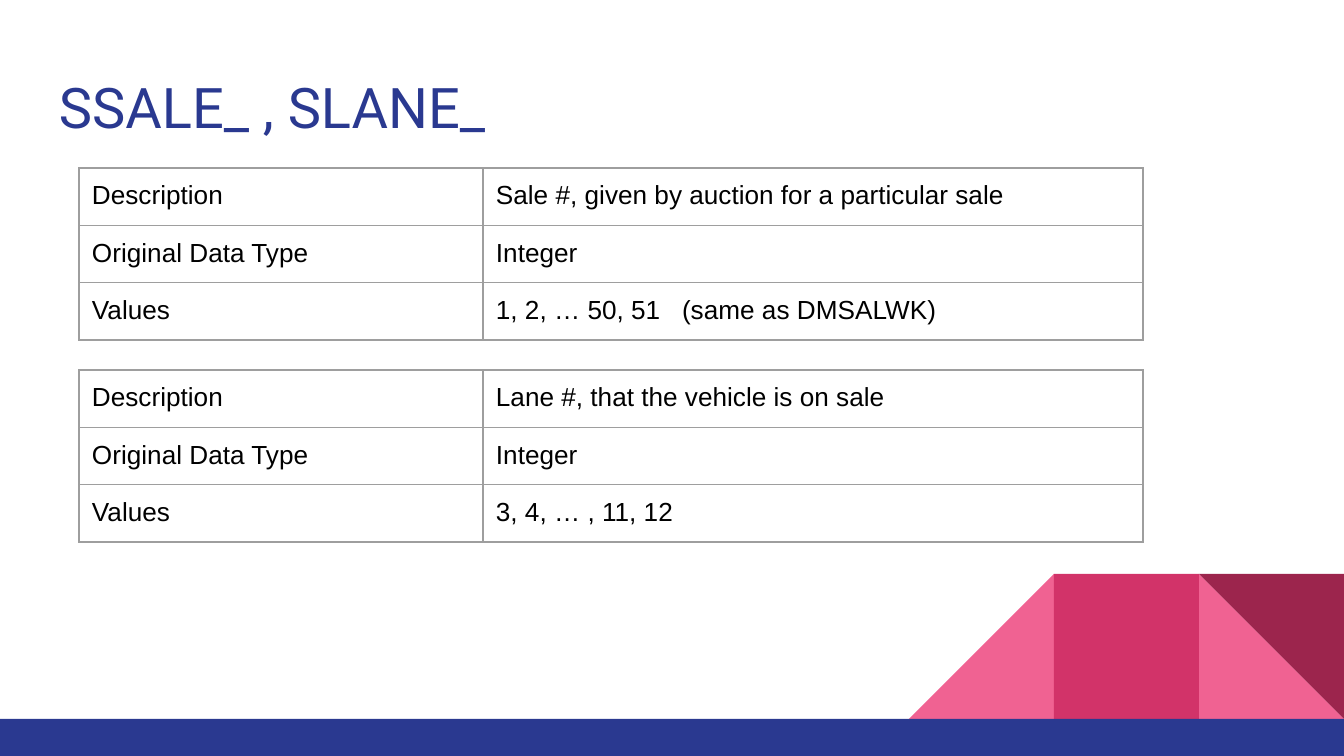
from pptx import Presentation
from pptx.dml.color import RGBColor
from pptx.enum.shapes import MSO_SHAPE
from pptx.enum.text import MSO_ANCHOR
from pptx.oxml import parse_xml
from pptx.oxml.ns import nsdecls
from pptx.util import Pt

PX = 914400 / 134.4
COLORS = {
    "navy": "2A3990",
    "pink": "F06292",
    "rose": "D23369",
    "wine": "9C254D",
    "grey": "9E9E9E",
    "black": "000000",
}


def emu(px):
    return round(px * PX)


class Deck:
    pad = 13

    def __init__(self, wide, high):
        self.prs = Presentation()
        self.prs.slide_width = emu(wide)
        self.prs.slide_height = emu(high)
        self.slide = self.prs.slides.add_slide(self.prs.slide_layouts[6])

    def color(self, name):
        return RGBColor.from_string(COLORS[name])

    def shape(self, kind, x, y, w, h, fill, turn=0, flip=False):
        item = self.slide.shapes.add_shape(kind, emu(x), emu(y), emu(w), emu(h))
        item.shadow.inherit = False
        item.fill.solid()
        item.fill.fore_color.rgb = self.color(fill)
        item.line.fill.background()
        item.rotation = turn
        if flip:
            item._element.spPr.xfrm.set("flipH", "1")

    def label(self, frame, text, font, size, color):
        frame.text = text
        face = frame.paragraphs[0].runs[0].font
        face.name = font
        face.size = Pt(size)
        face.color.rgb = self.color(color)

    def inset(self, item):
        item.margin_left = item.margin_right = emu(self.pad)
        item.margin_top = item.margin_bottom = emu(self.pad)

    def title(self, text, x, y, w, h):
        box = self.slide.shapes.add_textbox(emu(x), emu(y), emu(w), emu(h))
        frame = box.text_frame
        frame.word_wrap = True
        frame.vertical_anchor = MSO_ANCHOR.TOP
        self.inset(frame)
        self.label(frame, text, "Roboto", 30, "navy")

    def border(self, cell):
        props = cell._tc.get_or_add_tcPr()
        for spot, side in enumerate(("lnL", "lnR", "lnT", "lnB")):
            props.insert(spot, parse_xml(
                f'<a:{side} {nsdecls("a")} w="{Pt(0.75)}"><a:solidFill>'
                f'<a:srgbClr val="{COLORS["grey"]}"/></a:solidFill></a:{side}>'
            ))

    def table(self, rows, x, y, cols, high):
        frame = self.slide.shapes.add_table(
            len(rows), len(cols), emu(x), emu(y),
            emu(sum(cols)), emu(high * len(rows)))
        grid = frame.table
        grid.first_row = grid.horz_banding = False
        for col, wide in zip(grid.columns, cols):
            col.width = emu(wide)
        for line, texts in zip(grid.rows, rows):
            line.height = emu(high)
            for cell, text in zip(line.cells, texts):
                cell.fill.background()
                self.inset(cell)
                self.label(cell.text_frame, text, "Arial", 14, "black")
                self.border(cell)

    def save(self):
        self.prs.save("out.pptx")


def main():
    wide, high, base, side = 1344, 756, 719, 145
    deck = Deck(wide, high)

    top = base - side
    right = wide - side
    mid = right - side
    left = mid - side
    tri = MSO_SHAPE.RIGHT_TRIANGLE
    deck.shape(tri, right, top, side, side, "pink")
    deck.shape(tri, left, top, side, side, "pink", flip=True)
    deck.shape(MSO_SHAPE.RECTANGLE, mid, top, side, side, "rose")
    deck.shape(tri, right, top, side, side, "wine", turn=180)
    deck.shape(MSO_SHAPE.RECTANGLE, 0, base, wide, high - base, "navy")

    deck.title("SSALE_ , SLANE_", 46, 60, 1252, 89)

    fields = (
        ("Sale #, given by auction for a particular sale",
         "1, 2, … 50, 51   (same as DMSALWK)"),
        ("Lane #, that the vehicle is on sale", "3, 4, … , 11, 12"),
    )
    for spot, (about, values) in enumerate(fields):
        rows = (
            ("Description", about),
            ("Original Data Type", "Integer"),
            ("Values", values),
        )
        deck.table(rows, 79, 168 + 202 * spot, (404, 660), 56)

    deck.save()


if __name__ == "__main__":
    main()
